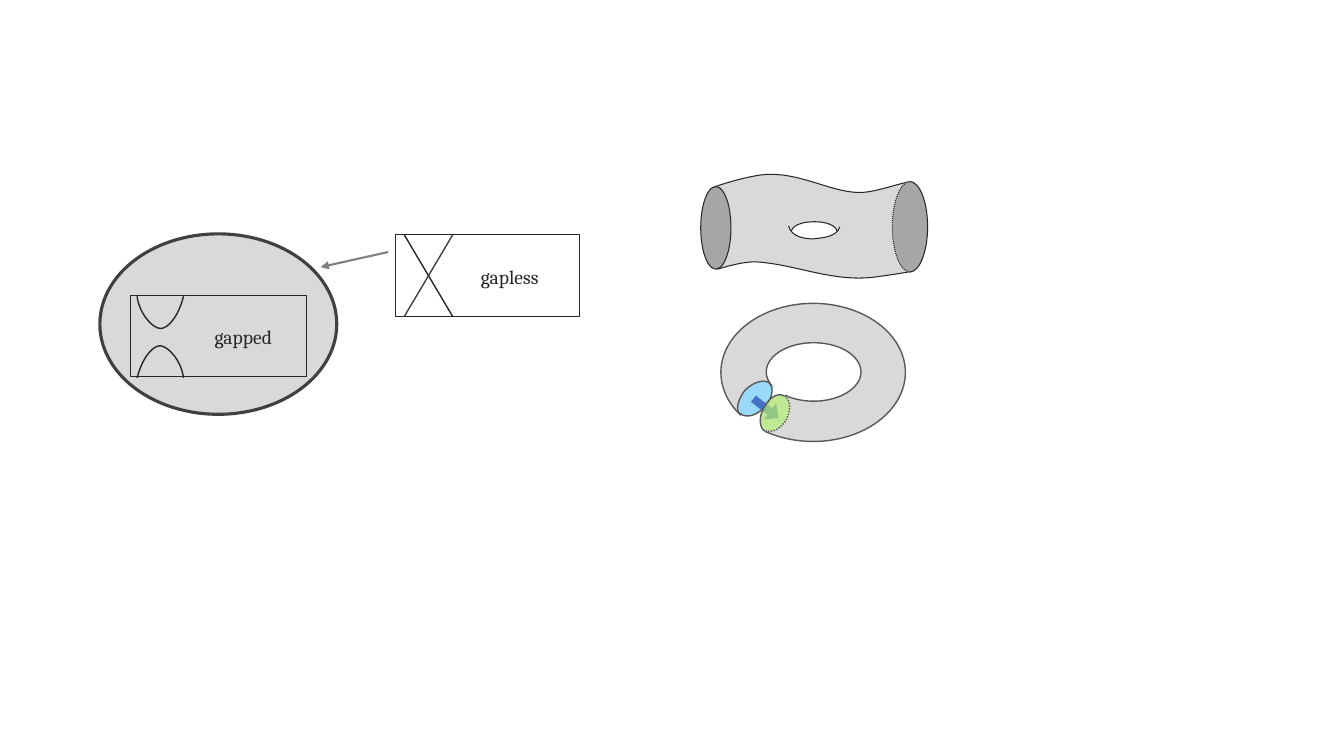
from dataclasses import dataclass
from math import cos, radians, sin

from lxml.etree import SubElement
from pptx import Presentation
from pptx.dml.color import RGBColor
from pptx.enum.dml import MSO_LINE_DASH_STYLE as Dash
from pptx.enum.shapes import MSO_CONNECTOR as Connector, MSO_SHAPE as Preset
from pptx.enum.text import MSO_AUTO_SIZE as AutoSize
from pptx.oxml.ns import qn
from pptx.util import Inches, Pt


@dataclass(frozen=True)
class Theme:
    font: str = "Cambria"
    label_size: int = 14
    ink: str = "262626"
    boundary: str = "404040"
    ring_line: str = "595959"
    arrow: str = "808080"
    surface: str = "D9D9D9"
    cap: str = "A6A6A6"
    white: str = "FFFFFF"
    blue: str = "99D9F9"
    green: str = "BFEA93"
    clear_green: str = "AAE26F"
    arrow_shaft: str = "4472C4"
    arrow_head: str = "92C684"
    hairline: float = 0.75
    thin: float = 1
    medium: float = 1.5
    thick: float = 2.25


@dataclass(frozen=True)
class Trace:
    knots: list
    corners: tuple = ()
    closed: bool = False
    filled: bool = True
    stroked: bool = True

    def moved(self, move):
        return Trace([move(p) for p in self.knots], tuple(move(p) for p in self.corners),
                     self.closed, self.filled, self.stroked)

    def segments(self):
        yield "a:moveTo", self.knots[:1]
        for first in range(1, len(self.knots), 3):
            yield "a:cubicBezTo", self.knots[first:first + 3]
        for corner in self.corners:
            yield "a:lnTo", [corner]

    def samples(self, steps=40):
        points = [self.knots[0], *self.corners]
        for first in range(0, len(self.knots) - 1, 3):
            for t in (step / steps for step in range(1, steps + 1)):
                u = 1 - t
                weights = (u**3, 3 * u * u * t, 3 * u * t * t, t**3)
                points.append(tuple(sum(w * v for w, v in zip(weights, axis))
                                    for axis in zip(*self.knots[first:first + 4])))
        return points


def turned(point, degrees):
    (x, y), angle = point, radians(degrees)
    return x * cos(angle) - y * sin(angle), x * sin(angle) + y * cos(angle)


class Canvas:
    def __init__(self, slide, theme):
        self.slide = slide
        self.theme = theme
        self.shapes = slide.shapes

    def start_group(self):
        self.shapes = self.slide.shapes.add_group_shape().shapes

    def end_group(self):
        self.shapes = self.slide.shapes

    def paint(self, shape, fill, line, width, dash=None, alpha=None):
        shape.shadow.inherit = False
        if fill:
            shape.fill.solid()
            shape.fill.fore_color.rgb = RGBColor.from_string(fill)
            if alpha:
                color = shape._element.spPr.find(qn("a:solidFill"))[0]
                SubElement(color, qn("a:alpha")).set("val", str(alpha * 1000))
        else:
            shape.fill.background()
        if line:
            shape.line.color.rgb = RGBColor.from_string(line)
            shape.line.width = Pt(width)
            if dash:
                shape.line.dash_style = dash
        else:
            shape.line.fill.background()

    def preset(self, kind, box, fill=None, line=None, width=1, rotation=0):
        shape = self.shapes.add_shape(kind, *map(Inches, box))
        shape.rotation = rotation
        self.paint(shape, fill, line, width)

    def outline(self, *traces, rotation=0, fill=None, line=None, width=1, dash=None, alpha=None):
        traces = [trace.moved(lambda point: turned(point, -rotation)) for trace in traces]
        xs, ys = zip(*(point for trace in traces for point in trace.samples()))
        left, top, wide, high = min(xs), min(ys), max(xs) - min(xs), max(ys) - min(ys)
        x, y = turned((left + wide / 2, top + high / 2), rotation)
        builder = self.shapes.build_freeform(Inches(x - wide / 2), Inches(y - high / 2))
        builder.add_line_segments([(Inches(x + wide / 2), Inches(y + high / 2))], close=False)
        shape = builder.convert_to_shape()
        shape.rotation = rotation
        path_list = shape._element.spPr.find(qn("a:custGeom")).find(qn("a:pathLst"))
        path_list.remove(path_list[0])
        for trace in traces:
            path = SubElement(path_list, qn("a:path"), w=str(Inches(wide)), h=str(Inches(high)))
            if not trace.filled:
                path.set("fill", "none")
            if not trace.stroked:
                path.set("stroke", "0")
            for tag, points in trace.segments():
                segment = SubElement(path, qn(tag))
                for x, y in points:
                    SubElement(segment, qn("a:pt"), x=str(Inches(x - left)), y=str(Inches(y - top)))
            if trace.closed:
                SubElement(path, qn("a:close"))
        self.paint(shape, fill, line, width, dash, alpha)

    def line(self, start, end, color, width, arrow=False):
        connector = self.shapes.add_connector(Connector.STRAIGHT, *map(Inches, start + end))
        connector.line.color.rgb = RGBColor.from_string(color)
        connector.line.width = Pt(width)
        if arrow:
            SubElement(connector.line._get_or_add_ln(), qn("a:tailEnd")).set("type", "triangle")
        SubElement(connector._element.spPr, qn("a:effectLst"))

    def label(self, text, box):
        frame = self.shapes.add_textbox(*map(Inches, box)).text_frame
        frame.word_wrap = True
        frame.auto_size = AutoSize.SHAPE_TO_FIT_TEXT
        frame.text = text
        font = frame.paragraphs[0].runs[0].font
        font.name = self.theme.font
        font.size = Pt(self.theme.label_size)
        font.color.rgb = RGBColor.from_string(self.theme.ink)


def draw_tube(canvas):
    theme = canvas.theme
    edge = dict(line=theme.ink, width=theme.hairline)
    canvas.start_group()
    body = Trace([(6.34, 2.57), (6.29, 2.07), (7.16, 1.8), (7.52, 1.74), (7.89, 1.68),
                  (8.23, 1.91), (8.52, 1.91), (8.87, 1.92), (9.55, 1.43), (9.91, 2.19),
                  (10.19, 2.51), (9.2, 2.68), (8.67, 2.75), (8.26, 2.8), (7.91, 2.63),
                  (7.52, 2.6), (7.13, 2.57), (6.4, 3.07), (6.34, 2.57)], closed=True)
    canvas.outline(body, fill=theme.surface, **edge)
    canvas.preset(Preset.RECTANGLE, (6.14, 1.69, 0.96, 1.4), theme.white, rotation=357.2)
    canvas.preset(Preset.OVAL, (6.95, 1.85, 0.3, 0.82), theme.cap, **edge)
    hole = Trace([(8.31, 2.28), (8.31, 2.34), (8.15, 2.36), (8.07, 2.36), (7.99, 2.37),
                  (7.86, 2.34), (7.84, 2.29), (7.86, 2.27), (8.3, 2.27), (8.31, 2.28)],
                 closed=True, stroked=False)
    hole_rim = Trace([(8.33, 2.25), (8.3, 2.35), (8.16, 2.36), (8.07, 2.37),
                      (8, 2.37), (7.85, 2.36), (7.82, 2.24)], filled=False)
    canvas.outline(hole, hole_rim, fill=theme.white, **edge)
    canvas.outline(Trace([(7.85, 2.3), (7.85, 2.24), (7.95, 2.2), (8.08, 2.2),
                          (8.2, 2.2), (8.3, 2.24), (8.3, 2.3)]), fill=theme.white, **edge)
    canvas.preset(Preset.RECTANGLE, (9.02, 1.66, 0.96, 1.4), theme.white)
    canvas.preset(Preset.OVAL, (8.85, 1.8, 0.35, 0.9), theme.cap)
    half_cap = Trace([(9.02, 1.8), (9.12, 1.8), (9.2, 2), (9.2, 2.25),
                      (9.2, 2.5), (9.12, 2.7), (9.02, 2.7)])
    canvas.outline(half_cap, **edge)
    canvas.outline(half_cap.moved(lambda point: (18.05 - point[0], 4.5 - point[1])),
                   rotation=180, dash=Dash.ROUND_DOT, **edge)
    canvas.end_group()


def draw_ring(canvas):
    theme = canvas.theme
    edge = dict(line=theme.ring_line, width=theme.thin)
    canvas.start_group()
    canvas.preset(Preset.OVAL, (7.15, 3.01, 1.83, 1.37), theme.surface, **edge)
    canvas.preset(Preset.OVAL, (7.6, 3.4, 0.94, 0.58), theme.white, **edge)
    canvas.outline(Trace([(7.63, 3.8), (7.58, 3.76), (7.47, 3.79), (7.39, 3.87),
                          (7.32, 3.96), (7.29, 4.07), (7.34, 4.11)]),
                   rotation=42.2, fill=theme.blue, **edge)
    canvas.outline(Trace([(7.78, 3.93), (7.84, 3.96), (7.85, 4.06), (7.8, 4.16),
                          (7.75, 4.25), (7.66, 4.3), (7.6, 4.27)]),
                   rotation=28.2, fill=theme.green, dash=Dash.ROUND_DOT, **edge)
    canvas.outline(Trace([(7.63, 3.81)], ((7.79, 3.91), (7.54, 4.37), (7.28, 4.2), (7.63, 3.81)),
                         closed=True), rotation=32.4, fill=theme.white)
    canvas.outline(Trace([(7.63, 3.8), (7.68, 3.85), (7.66, 3.96), (7.58, 4.04),
                          (7.5, 4.13), (7.39, 4.15), (7.34, 4.1)]),
                   rotation=43.4, fill=theme.blue, **edge)
    canvas.preset(Preset.RECTANGLE, (7.45, 3.98, 0.21, 0.08), theme.arrow_shaft, rotation=38)
    canvas.outline(Trace([(7.78, 3.93), (7.72, 3.89), (7.63, 3.94), (7.58, 4.04),
                          (7.52, 4.14), (7.53, 4.25), (7.59, 4.28)]),
                   rotation=28.2, fill=theme.clear_green, alpha=75, **edge)
    canvas.preset(Preset.ISOSCELES_TRIANGLE, (7.58, 4.06, 0.2, 0.11),
                  theme.arrow_head, rotation=127.2)
    canvas.end_group()


def draw_bands(canvas):
    theme = canvas.theme
    frame = dict(line=theme.ink, width=theme.hairline)
    canvas.preset(Preset.OVAL, (0.99, 2.32, 2.35, 1.79), theme.surface, theme.boundary, theme.thick)
    canvas.preset(Preset.RECTANGLE, (1.29, 2.93, 1.75, 0.81), **frame)
    band = [Trace([(1.84, 2.94), (1.83, 3.09), (1.72, 3.22), (1.59, 3.22),
                   (1.45, 3.21), (1.34, 3.09), (1.34, 2.93)],
                  ((1.59, 2.93), (1.84, 2.94)), closed=True, stroked=False),
            Trace([(1.82, 2.94), (1.78, 3.11), (1.68, 3.26), (1.59, 3.26),
                   (1.5, 3.25), (1.38, 3.1), (1.36, 2.94)])]
    lower_band = [trace.moved(lambda point: (3.18 - point[0], 6.69 - point[1])) for trace in band]
    for traces, rotation in ((band, 0), (lower_band, 180)):
        canvas.outline(*traces, rotation=rotation, line=theme.ink, width=theme.thin)
    canvas.label("gapped", (2.03, 3.17, 1.41, 0.34))
    canvas.preset(Preset.RECTANGLE, (3.92, 2.33, 1.83, 0.81), **frame)
    canvas.label("gapless", (4.67, 2.58, 1.31, 0.34))
    canvas.line((4.01, 2.33), (4.49, 3.14), theme.ink, theme.thin)
    canvas.line((4.01, 3.14), (4.49, 2.33), theme.boundary, theme.thin)
    canvas.line((3.85, 2.5), (3.18, 2.65), theme.arrow, theme.medium, arrow=True)


presentation = Presentation()
presentation.slide_width, presentation.slide_height = Inches(13.33), Inches(7.5)
layout = presentation.slide_layouts[6]
canvas = Canvas(presentation.slides.add_slide(layout), Theme())
for draw in (draw_tube, draw_ring, draw_bands):
    draw(canvas)
presentation.save("out.pptx")
